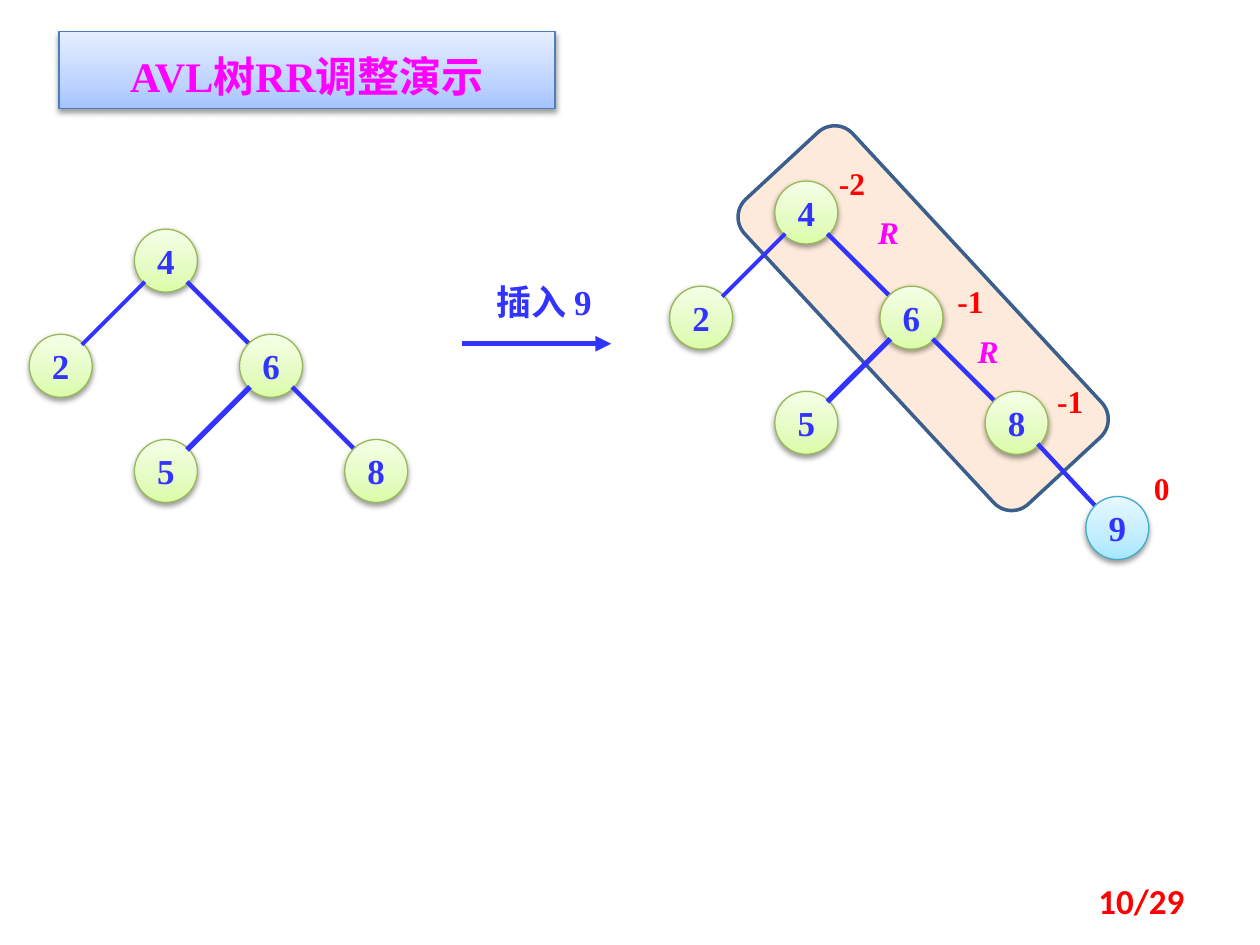
import dataclasses

import lxml.etree
import pptx
import pptx.dml.color
import pptx.enum.shapes
import pptx.enum.text
import pptx.oxml.ns
import pptx.util

Cm = pptx.util.Cm
Pt = pptx.util.Pt
qn = pptx.oxml.ns.qn
SHAPE = pptx.enum.shapes.MSO_SHAPE
ALIGN = pptx.enum.text.PP_ALIGN
ANCHOR = pptx.enum.text.MSO_ANCHOR


@dataclasses.dataclass(frozen=True)
class Theme:
    serif: str = "Times New Roman"
    sans: str = "Calibri"
    ink: str = "3333FF"
    accent: str = "FF00FF"
    alert: str = "FF0000"
    band_fill: str = "FDEADA"
    band_line: str = "3A5F8C"
    green: tuple = ("DAFDA7", "E4FCC2", "F5FFE7", "98B955")
    cyan: tuple = ("A7E6FF", "C1EDFF", "E7F8FF", "46AAC5")
    blue: tuple = ("A4C4FF", "BFD4FF", "E6EEFF", "4B7EBC")
    title_size: int = 24
    node_size: int = 20
    mark_size: int = 18


@dataclasses.dataclass(frozen=True)
class Node:
    key: str
    left: "Node" = None
    right: "Node" = None
    edge: float = 2.5
    dx: float = 2.12
    palette: tuple = Theme.green


THEME = Theme()
DIAMETER = 1.27
LEVEL = 2.12
RIM = 0.21


def rgb(value):
    return pptx.dml.color.RGBColor.from_string(value)


def add_xml(parent, tag, **attrs):
    return lxml.etree.SubElement(parent, qn(tag), attrs)


def add_run(p, text, size, color, font=THEME.serif, italic=False):
    r = p.add_run()
    r.text = text
    r.font.name = font
    r.font.size = Pt(size)
    r.font.bold = True
    r.font.italic = italic
    r.font.color.rgb = rgb(color)


def add_box(shapes, kind, left, top, width, height):
    sp = shapes.add_shape(kind, Cm(left), Cm(top), Cm(width), Cm(height))
    sp.shadow.inherit = False
    return sp


def style_glossy(sp, palette):
    *stops, line = palette
    sp.fill.gradient()
    sp.fill.gradient_angle = 90
    gs_list = sp._element.spPr.find(".//" + qn("a:gsLst"))
    gs_list.clear()
    for pos, color in zip((0, 35000, 100000), stops):
        add_xml(add_xml(gs_list, "a:gs", pos=str(pos)), "a:srgbClr", val=color)
    sp.line.color.rgb = rgb(line)
    sp.line.width = Pt(0.75)
    effects = sp._element.spPr.find(qn("a:effectLst"))
    shadow = add_xml(effects, "a:outerShdw", blurRad=str(Pt(3.1)), dist=str(Pt(1.6)),
                     dir="5400000", rotWithShape="0")
    add_xml(add_xml(shadow, "a:srgbClr", val="000000"), "a:alpha", val="38000")


def add_line(shapes, x1, y1, x2, y2, width, arrow=False):
    cxn = shapes.add_connector(pptx.enum.shapes.MSO_CONNECTOR.STRAIGHT,
                               Cm(x1), Cm(y1), Cm(x2), Cm(y2))
    cxn.line.color.rgb = rgb(THEME.ink)
    cxn.line.width = Pt(width)
    sp_pr = cxn._element.spPr
    if arrow:
        add_xml(sp_pr.find(qn("a:ln")), "a:tailEnd", type="triangle")
    add_xml(sp_pr, "a:effectLst")


def add_label(shapes, left, top, width, height, text, size, color, italic=False):
    tb = shapes.add_textbox(Cm(left), Cm(top), Cm(width), Cm(height))
    tf = tb.text_frame
    tf.word_wrap = True
    p = tf.paragraphs[0]
    before = add_xml(p._p.get_or_add_pPr(), "a:spcBef")
    add_xml(before, "a:spcPct", val="50000")
    add_run(p, text, size, color, italic=italic)


def draw_title(shapes, left, top, width, height):
    sp = add_box(shapes, SHAPE.RECTANGLE, left, top, width, height)
    style_glossy(sp, THEME.blue)
    tf = sp.text_frame
    tf.word_wrap = True
    tf.vertical_anchor = ANCHOR.TOP
    p = tf.paragraphs[0]
    p.alignment = ALIGN.CENTER
    p.line_spacing = 1.25
    add_run(p, "AVL树RR调整演示", THEME.title_size, THEME.accent)


def draw_tree(shapes, node, left, top):
    sp = add_box(shapes, SHAPE.OVAL, left, top, DIAMETER, DIAMETER)
    style_glossy(sp, node.palette)
    tf = sp.text_frame
    tf.word_wrap = False
    tf.vertical_anchor = ANCHOR.MIDDLE
    p = tf.paragraphs[0]
    p.alignment = ALIGN.CENTER
    add_run(p, node.key, THEME.node_size, THEME.ink)

    far = DIAMETER - RIM
    child_top = top + LEVEL
    if node.left:
        child_left = left - node.left.dx
        draw_tree(shapes, node.left, child_left, child_top)
        add_line(shapes, left + RIM, top + far, child_left + far, child_top + RIM,
                 node.left.edge)
    if node.right:
        child_left = left + node.right.dx
        add_line(shapes, left + far, top + far, child_left + RIM, child_top + RIM,
                 node.right.edge)
        draw_tree(shapes, node.right, child_left, child_top)


def draw_insert_arrow(shapes, left, top, width):
    add_line(shapes, left, top + 1.39, left + width, top + 1.39, 3, arrow=True)
    add_label(shapes, left + 0.43, top, width, 1.09, "插入 9",
              THEME.node_size, THEME.ink)


def draw_rotation_band(shapes, left, top, width, height):
    sp = add_box(shapes, SHAPE.ROUNDED_RECTANGLE, left, top, width, height)
    sp.rotation = 47.2
    sp.fill.solid()
    sp.fill.fore_color.rgb = rgb(THEME.band_fill)
    sp.line.color.rgb = rgb(THEME.band_line)
    sp.line.width = Pt(2)


def draw_marks(shapes, left, top):
    for x, y, text in ((1.83, 0.97, "R"), (3.84, 3.36, "R")):
        add_label(shapes, left + x, top + y, 1, 1.03, text,
                  THEME.mark_size, THEME.accent, italic=True)
    balances = ((7.39, 6.13, 0.8, "0"), (5.44, 4.38, 1.2, "-1"),
                (3.43, 2.37, 1.2, "-1"), (1.04, -0.02, 1.2, "-2"))
    for x, y, width, text in balances:
        add_label(shapes, left + x, top + y, width, 1.03, text,
                  THEME.mark_size, THEME.alert)


def draw_page_number(shapes, left, top, width, height):
    tb = shapes.add_textbox(Cm(left), Cm(top), Cm(width), Cm(height))
    tf = tb.text_frame
    tf.word_wrap = True
    tf.vertical_anchor = ANCHOR.MIDDLE
    p = tf.paragraphs[0]
    p.alignment = ALIGN.RIGHT
    add_run(p, "10/29", THEME.node_size, THEME.alert, font=THEME.sans)


def avl_tree(inserted=None):
    return Node("4", Node("2", edge=2.25),
                Node("6", Node("5", edge=3), Node("8", right=inserted)))


def main():
    prs = pptx.Presentation()
    prs.slide_width, prs.slide_height = Cm(25.4), Cm(19.05)
    shapes = prs.slides.add_slide(prs.slide_layouts[6]).shapes
    draw_rotation_band(shapes, 14.42, 4.93, 8.38, 2.97)
    draw_tree(shapes, avl_tree(), 2.71, 4.62)
    draw_insert_arrow(shapes.add_group_shape().shapes, 9.32, 5.54, 3)
    draw_title(shapes, 1.19, 0.64, 10, 1.55)
    inserted = Node("9", dx=2.03, palette=THEME.cyan)
    draw_tree(shapes.add_group_shape().shapes, avl_tree(inserted), 15.62, 3.65)
    draw_marks(shapes, 15.62, 3.2)
    draw_page_number(shapes, 18.21, 17.65, 5.92, 1.02)
    prs.save("out.pptx")


if __name__ == "__main__":
    main()
